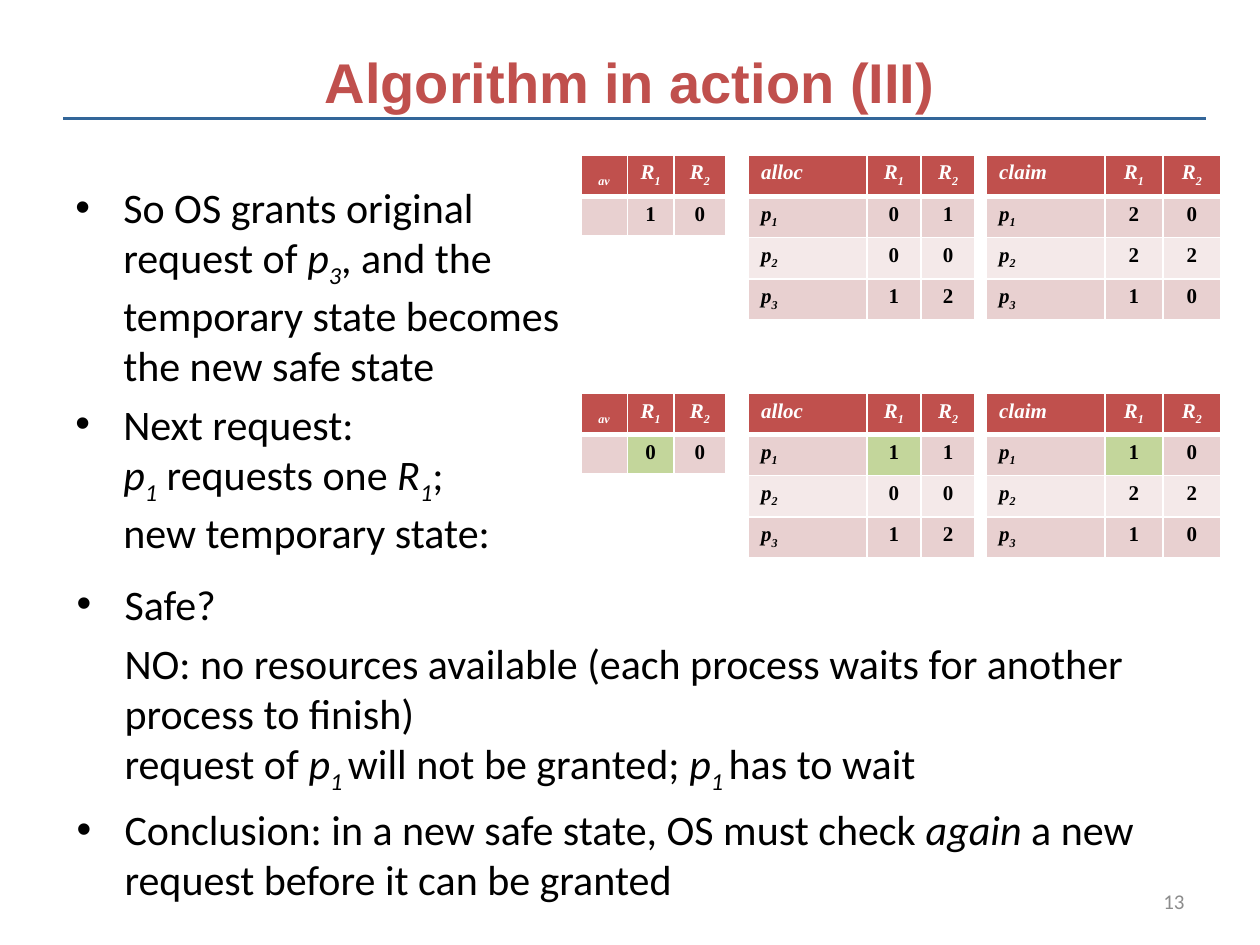
from dataclasses import dataclass
from lxml.etree import SubElement
from pptx import Presentation
from pptx.dml.color import RGBColor as RGB
from pptx.enum.shapes import MSO_CONNECTOR as Connector
from pptx.enum.text import MSO_ANCHOR as Anchor, PP_ALIGN as Align
from pptx.oxml.ns import qn
from pptx.util import Inches, Pt


@dataclass(frozen=True)
class Theme:
    red: str = "C0504D"
    band_dark: str = "E8D0D0"
    band_light: str = "F4E9E9"
    changed: str = "C3D69B"
    rule: str = "336699"
    black: str = "000000"
    white: str = "FFFFFF"
    grey: str = "8C8C8C"
    title_size: int = 32
    body_size: int = 24
    small_size: int = 12


theme = Theme()
title_font = dict(name="Arial", size=Pt(theme.title_size), bold=True)
body_font = dict(name="Calibri", size=Pt(theme.body_size))
number_font = dict(name="Calibri", size=Pt(theme.small_size))
cell_font = dict(name="Times New Roman", size=Pt(theme.small_size), bold=True)


def write(paragraph, text, font, color, **layout):
    """Parts between bars cycle through plain, italic and italic subscript."""
    for key, value in layout.items():
        setattr(paragraph, key, value)
    for i, part in enumerate(text.split("|")):
        for j, line in enumerate(part.split("\n")):
            if j:
                paragraph.add_line_break()
            if not line:
                continue
            run = paragraph.add_run()
            run.text = line
            for key, value in dict(font, italic=i % 3 > 0).items():
                setattr(run.font, key, value)
            run.font.color.rgb = RGB.from_string(color)
            if i % 3 == 2:
                run.font._element.set("baseline", "-25000")


def add_text_frame(left, top, width, height, anchor=Anchor.TOP):
    box = slide.shapes.add_textbox(*map(Inches, (left, top, width, height)))
    box.text_frame.word_wrap = True
    box.text_frame.vertical_anchor = anchor
    return box.text_frame


prs = Presentation()
prs.slide_width, prs.slide_height = Inches(10), Inches(7.5)
slide = prs.slides.add_slide(prs.slide_layouts[6])

# Title with its rule, and page number
rule = slide.shapes.add_connector(
    Connector.STRAIGHT, Inches(0.5), Inches(0.94), Inches(9.57), Inches(0.94))
rule.line.color.rgb = RGB.from_string(theme.rule)
rule.line.width = Pt(1.5)
SubElement(rule._element.spPr, qn("a:effectLst"))

title = add_text_frame(0.5, 0.21, 9, 0.87, Anchor.MIDDLE)
write(title.paragraphs[0], "Algorithm in action (III)", title_font, theme.red,
      alignment=Align.CENTER)
page_number = add_text_frame(7.17, 6.95, 2.33, 0.4, Anchor.MIDDLE)
write(page_number.paragraphs[0], "13", number_font, theme.grey, alignment=Align.RIGHT)

# Explanations: (bulleted, text)
requests = [
    (True, "So OS grants original request of |p|3|, and the temporary state "
           "becomes the new safe state"),
    (True, "Next request: \n|p|1| requests one |R|1|; \nnew temporary state:"),
]
verdict = [
    (True, "Safe?"),
    (False, "NO: no resources available (each process waits for another process "
            "to finish)\nrequest of |p|1 |will not be granted; |p|1 |has to wait"),
    (True, "Conclusion: in a new safe state, OS must check |again|| a new request "
           "before it can be granted"),
]
for area, points in [((0.5, 1.39, 4.42, 5.31), requests),
                     ((0.51, 4.54, 8.98, 2.6), verdict)]:
    frame = add_text_frame(*area)
    for n, (bulleted, text) in enumerate(points):
        paragraph = frame.add_paragraph() if n else frame.paragraphs[0]
        write(paragraph, text, body_font, theme.black,
              space_before=Pt(0.2 * theme.body_size), level=0 if bulleted else 1)
        props = paragraph._p.get_or_add_pPr()
        props.set("marL", str(Inches(0.38)))
        props.set("indent", str(Inches(-0.38 if bulleted else 0)))
        if bulleted:
            SubElement(props, qn("a:buFont"), typeface="Arial")
            SubElement(props, qn("a:buChar"), char="•")
        else:
            SubElement(props, qn("a:buNone"))

# State tables: left edge, column widths, first header
available = (4.61, (0.37, 0.37, 0.41), "||av")
alloc = (5.94, (0.94, 0.43, 0.43), "|alloc")
claim = (7.83, (0.94, 0.46, 0.46), "|claim")
row_height = 0.31

# Each state: top, whether p1's R1 values changed, and values per table
states = [
    (1.23, False, [(available, ["10"]), (alloc, ["01", "00", "12"]),
                   (claim, ["20", "22", "10"])]),
    (3.12, True, [(available, ["00"]), (alloc, ["11", "00", "12"]),
                  (claim, ["10", "22", "10"])]),
]
for top, changed, tables in states:
    for (left, widths, heading), values in tables:
        labels = [f"|p|{n}" for n in (1, 2, 3)] if len(values) > 1 else [""]
        rows = [[heading, "|R|1", "|R|2"]]
        rows += [[label, *pair] for label, pair in zip(labels, values)]
        grid = slide.shapes.add_table(
            len(rows), 3, Inches(left), Inches(top),
            Inches(sum(widths)), Inches(row_height * len(rows))).table
        for column, width in zip(grid.columns, widths):
            column.width = Inches(width)
        for r, row in enumerate(rows):
            grid.rows[r].height = Inches(row_height)
            for c, text in enumerate(row):
                cell = grid.cell(r, c)
                # White borders, thicker where the header meets the body
                for side in "LRTB":
                    thick = (side, r) in (("B", 0), ("T", 1))
                    border = SubElement(cell._tc.get_or_add_tcPr(), qn(f"a:ln{side}"),
                                        w=str(Pt(3 if thick else 1)))
                    SubElement(SubElement(border, qn("a:solidFill")),
                               qn("a:srgbClr"), val=theme.white)
                if r == 0:
                    fill = theme.red
                elif changed and (r, c) == (1, 1):
                    fill = theme.changed
                else:
                    fill = theme.band_dark if r % 2 else theme.band_light
                cell.fill.solid()
                cell.fill.fore_color.rgb = RGB.from_string(fill)
                paragraph = cell.text_frame.paragraphs[0]
                is_label = c == 0 and len(values) > 1
                write(paragraph, text, cell_font, theme.black if r else theme.white,
                      alignment=Align.LEFT if is_label else Align.CENTER)
                SubElement(paragraph._p, qn("a:endParaRPr"),
                           sz=str(theme.small_size * 100))

prs.save("out.pptx")
